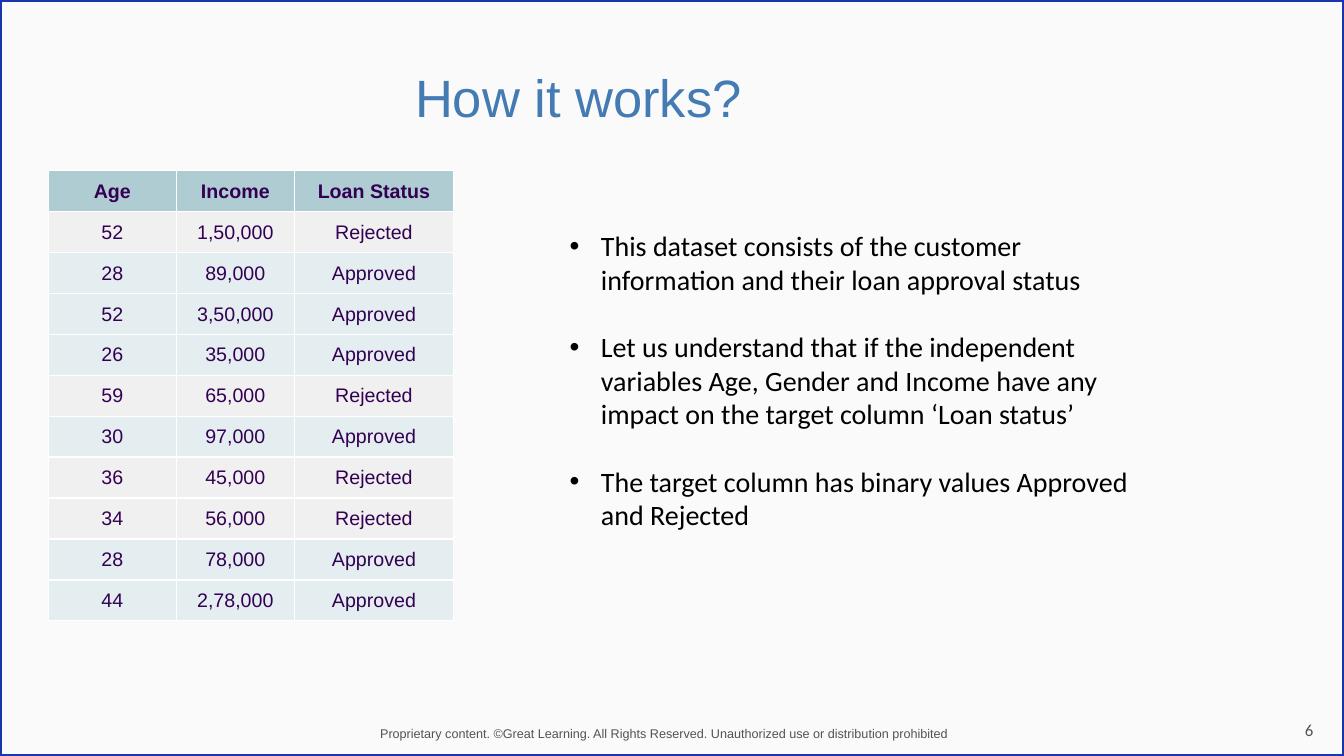
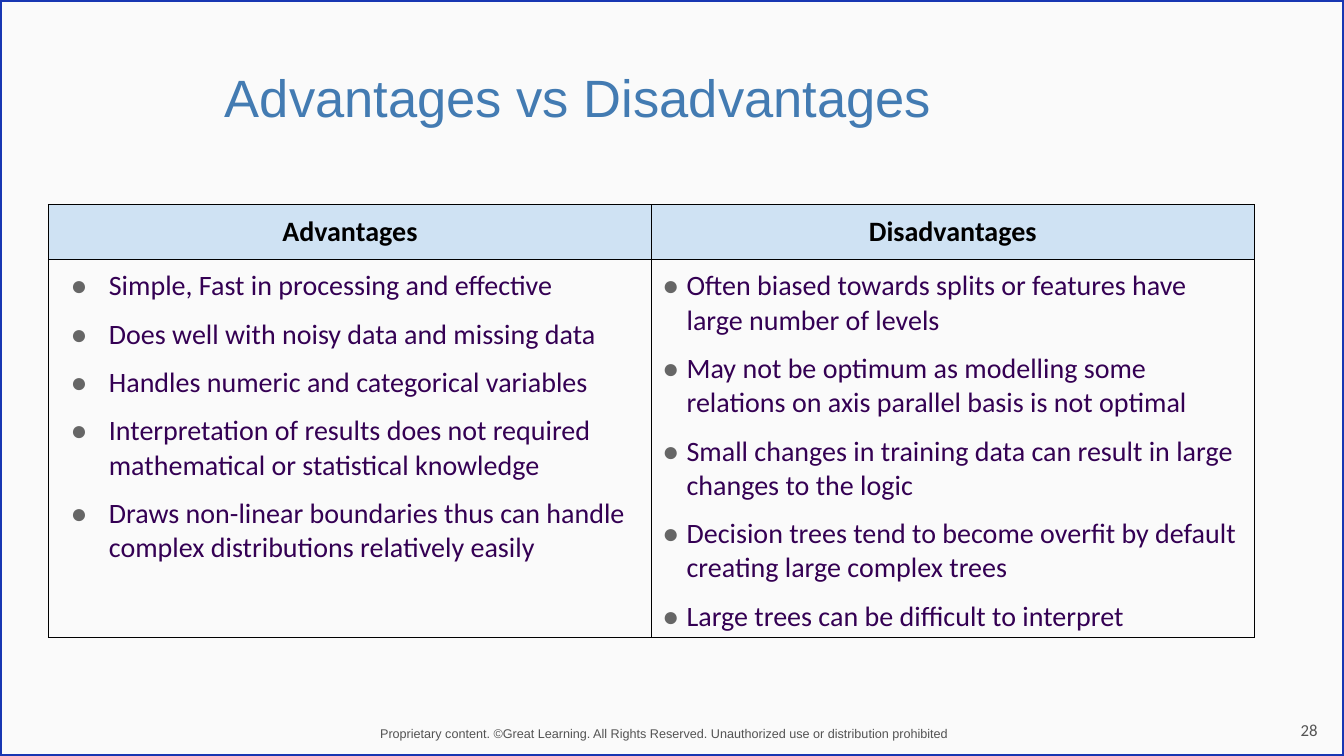
from lxml import etree
from pptx import Presentation
from pptx import util as u
from pptx.dml import color
from pptx.enum import shapes, text
from pptx.oxml import ns

COLORS = {
    "page": "FAFAFA", "frame": "1836B2", "title": "437BB2", "small": "535353",
    "cell": "340053", "black": "000000", "white": "FFFFFF", "bullet": "666666",
    "header": "AECCD1", "Approved": "E4EEF0", "Rejected": "F0F0F0", "compare": "CFE2F3",
}
TITLE = {"name": "Arial", "size": u.Pt(37.5), "bold": False}
FOOTER = {"name": "Arial", "size": u.Pt(9), "bold": False}
NUMBER = {"name": "Calibri", "size": u.Pt(12), "bold": False}
BODY = {"name": "Calibri", "size": u.Pt(20), "bold": False}
DATA = {"name": "Arial", "size": u.Pt(14), "bold": False}
CENTER = text.PP_ALIGN.CENTER
MIDDLE = text.MSO_ANCHOR.MIDDLE
FOOTER_TEXT = ("Proprietary content. ©Great Learning. All Rights Reserved. "
               "Unauthorized use or distribution prohibited")

LOANS = [
    ("52", "1,50,000", "Rejected"),
    ("28", "89,000", "Approved"),
    ("52", "3,50,000", "Approved"),
    ("26", "35,000", "Approved"),
    ("59", "65,000", "Rejected"),
    ("30", "97,000", "Approved"),
    ("36", "45,000", "Rejected"),
    ("34", "56,000", "Rejected"),
    ("28", "78,000", "Approved"),
    ("44", "2,78,000", "Approved"),
]
DATASET_POINTS = [
    "This dataset consists of the customer information and their loan approval status",
    "Let us understand that if the independent variables Age, Gender and Income have any "
    "impact on the target column ‘Loan status’",
    "The target column has binary values Approved and Rejected",
]
ADVANTAGES = [
    "Simple, Fast in processing and effective",
    "Does well with noisy data and missing data",
    "Handles numeric and categorical variables",
    "Interpretation of results does not required mathematical or statistical knowledge",
    "Draws non-linear boundaries thus can handle complex distributions relatively easily",
]
DISADVANTAGES = [
    "Often biased towards splits or features have large number of levels",
    "May not be optimum as modelling some relations on axis parallel basis is not optimal",
    "Small changes in training data can result in large changes to the logic",
    "Decision trees tend to become overfit by default creating large complex trees",
    "Large trees can be difficult to interpret",
]


def rgb(name):
    return color.RGBColor.from_string(COLORS[name])


def apply(target, values):
    for name, value in values.items():
        setattr(target, name, value)


def inches(*lengths):
    return [u.Inches(length) for length in lengths]


def place(shape, *lengths):
    apply(shape, dict(zip(("left", "top", "width", "height"), inches(*lengths))))


def set_margins(target, *lengths):
    sides = ("margin_left", "margin_top", "margin_right", "margin_bottom")
    apply(target, dict(zip(sides, inches(*lengths))))


def write(para, words, style, ink, **layout):
    span = para.add_run()
    span.text = words
    apply(span.font, style)
    span.font.color.rgb = rgb(ink)
    apply(para, layout)


def add_bullet(para, mark, ink, indent, hanging):
    props = para._p.get_or_add_pPr()
    props.set("marL", str(u.Inches(indent)))
    props.set("indent", str(-u.Inches(hanging)))
    tint = etree.SubElement(props, ns.qn("a:buClr"))
    etree.SubElement(tint, ns.qn("a:srgbClr"), val=COLORS[ink])
    etree.SubElement(props, ns.qn("a:buFont"), typeface="Arial")
    etree.SubElement(props, ns.qn("a:buChar"), char=mark)


def write_list(frame, points, ink, gap, bullet):
    for index, point in enumerate(points):
        para = frame.add_paragraph() if index else frame.paragraphs[0]
        add_bullet(para, *bullet)
        write(para, point, BODY, ink, space_before=u.Pt(gap if index else 0),
              line_spacing=1.0, alignment=text.PP_ALIGN.LEFT)


def prepare(frame, margin, anchor):
    set_margins(frame, *[margin] * 4)
    apply(frame, {"word_wrap": True, "auto_size": text.MSO_AUTO_SIZE.NONE,
                  "vertical_anchor": anchor})


def add_label(page, spot, words, style, margin, anchor, align):
    box = page.shapes.add_textbox(*inches(*spot))
    prepare(box.text_frame, margin, anchor)
    write(box.text_frame.paragraphs[0], words, style, "small", alignment=align)


def add_page(deck, layout, title, number):
    page = deck.slides.add_slide(deck.slide_layouts[layout])
    heading = page.shapes.title
    place(heading, 0.48, 0.74, 10.52, 0.56)
    prepare(heading.text_frame, 0.03, MIDDLE)
    write(heading.text_frame.paragraphs[0], title, TITLE, "title",
          alignment=CENTER, line_spacing=0.8)
    outline = page.shapes.add_shape(shapes.MSO_SHAPE.RECTANGLE, 0, 0,
                                    deck.slide_width, deck.slide_height)
    outline.shadow.inherit = False
    outline.fill.background()
    outline.line.color.rgb = rgb("frame")
    outline.line.width = u.Pt(2.25)
    add_label(page, (3.72, 7.15, 5.89, 0.25), FOOTER_TEXT, FOOTER, 0.05,
              text.MSO_ANCHOR.TOP, text.PP_ALIGN.LEFT)
    add_label(page, (12.87, 6.65, 0.23, 0.72), number, NUMBER, 0.03,
              text.MSO_ANCHOR.BOTTOM, CENTER)
    return page


def add_grid(page, left, top, widths, heights):
    frame = page.shapes.add_table(len(heights), len(widths),
                                  *inches(left, top, sum(widths), sum(heights)))
    table = frame.table
    apply(table, {"first_row": False, "horz_banding": False})
    for column, width in zip(table.columns, widths):
        column.width = u.Inches(width)
    for row, height in zip(table.rows, heights):
        row.height = u.Inches(height)
    return table


def style_cell(cell, line_ink, line_width, fill=None):
    props = cell._tc.get_or_add_tcPr()
    for side in ("lnL", "lnR", "lnT", "lnB"):
        line = etree.SubElement(props, ns.qn(f"a:{side}"), w=str(u.Pt(line_width)))
        solid = etree.SubElement(line, ns.qn("a:solidFill"))
        etree.SubElement(solid, ns.qn("a:srgbClr"), val=COLORS[line_ink])
    if fill:
        cell.fill.solid()
        cell.fill.fore_color.rgb = rgb(fill)
    else:
        cell.fill.background()


def add_loan_table(page):
    rows = [("Age", "Income", "Loan Status"), *LOANS]
    table = add_grid(page, 0.48, 1.69, (1.27, 1.17, 1.58), [4.47 / len(rows)] * len(rows))
    for row_index, values in enumerate(rows):
        fill = values[-1] if row_index else "header"
        style = {**DATA, "bold": row_index == 0}
        for column_index, value in enumerate(values):
            cell = table.cell(row_index, column_index)
            style_cell(cell, "white", 1, fill)
            set_margins(cell, 0.01, 0.01, 0.01, 0)
            cell.vertical_anchor = MIDDLE
            write(cell.text_frame.paragraphs[0], value, style, "cell", alignment=CENTER)


def add_comparison(page):
    table = add_grid(page, 0.48, 2.03, (5.98, 5.98), (0.54, 3.75))
    columns = [("Advantages", ADVANTAGES, 0.5, 0.38),
               ("Disadvantages", DISADVANTAGES, 0.25, 0.24)]
    for index, (name, points, indent, hanging) in enumerate(columns):
        header, body = table.cell(0, index), table.cell(1, index)
        style_cell(header, "black", 0.75, "compare")
        style_cell(body, "black", 0.75)
        set_margins(header, 0.1, 0.1, 0.1, 0.1)
        set_margins(body, 0.1, 0.1, 0.1, 0.04)
        write(header.text_frame.paragraphs[0], name, {**BODY, "bold": True}, "black",
              alignment=CENTER)
        write_list(body.text_frame, points, "cell", 10, ("●", "bullet", indent, hanging))


def main():
    deck = Presentation()
    deck.slide_width, deck.slide_height = inches(13.33, 7.5)
    backdrop = deck.slide_master.background.fill
    backdrop.solid()
    backdrop.fore_color.rgb = rgb("page")

    page = add_page(deck, 1, "How it works?", "6")
    add_loan_table(page)
    body = page.placeholders[1]
    place(body, 5.59, 2.2, 5.7, 3.14)
    prepare(body.text_frame, 0.06, MIDDLE)
    write_list(body.text_frame, DATASET_POINTS, "black", 24, ("•", "black", 0.31, 0.31))

    page = add_page(deck, 5, "Advantages vs Disadvantages", "28")
    add_comparison(page)
    deck.save("out.pptx")


if __name__ == "__main__":
    main()
